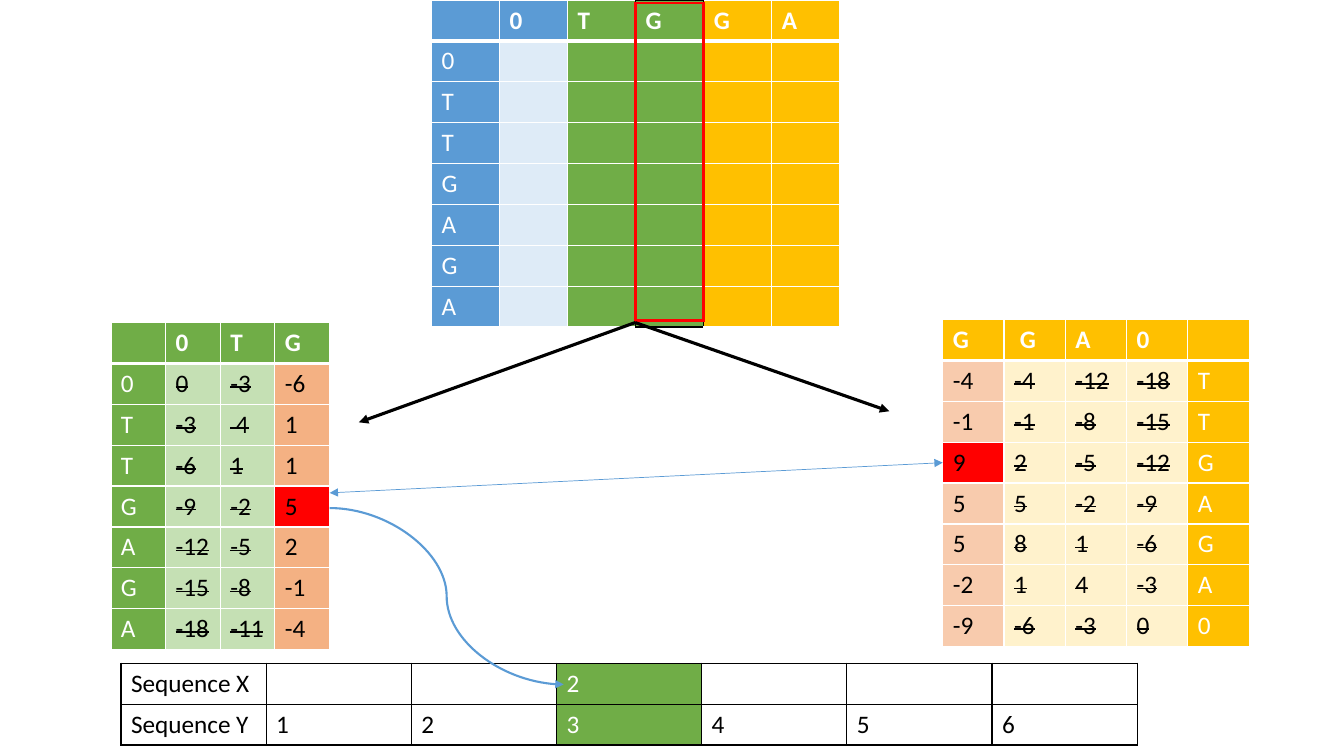
from lxml.etree import SubElement
from pptx import Presentation
from pptx.dml.color import RGBColor
from pptx.enum.shapes import MSO_CONNECTOR
from pptx.oxml import parse_xml
from pptx.oxml.ns import nsdecls, qn
from pptx.util import Inches, Pt

WHITE = RGBColor(0xFF, 0xFF, 0xFF)
BLACK = RGBColor(0x00, 0x00, 0x00)
RED = RGBColor(0xFF, 0x00, 0x00)
BLUE = RGBColor(0x5B, 0x9B, 0xD5)
PALE_BLUE = RGBColor(0xDE, 0xEB, 0xF7)
GREEN = RGBColor(0x70, 0xAD, 0x47)
PALE_GREEN = RGBColor(0xC5, 0xE0, 0xB4)
GOLD = RGBColor(0xFF, 0xC0, 0x00)
PALE_GOLD = RGBColor(0xFF, 0xF2, 0xCC)
ORANGE = RGBColor(0xF4, 0xB1, 0x83)
PALE_ORANGE = RGBColor(0xF8, 0xCB, 0xAD)

presentation = Presentation()
presentation.slide_width, presentation.slide_height = Inches(13.33), Inches(7.5)
slide = presentation.slides.add_slide(presentation.slide_layouts[6])


def add_grid(left, top, column_width, row_height, rows, style, border):
    """style(row, column) gives fill, text colour, bold, strike;
    border(row, column, side) gives line colour and points."""
    column_count = len(rows[0])
    table = slide.shapes.add_table(
        len(rows), column_count, Inches(left), Inches(top),
        Inches(column_width * column_count), Inches(row_height * len(rows))).table
    table.first_row = table.horz_banding = False
    for column in table.columns:
        column.width = Inches(column_width)
    for r, texts in enumerate(rows):
        table.rows[r].height = Inches(row_height)
        for c, text in enumerate(texts):
            cell = table.cell(r, c)
            fill, colour, bold, strike = style(r, c)
            properties = cell._tc.get_or_add_tcPr()
            for side in "LRTB":
                line_colour, points = border(r, c, side)
                properties.append(parse_xml(
                    f'<a:ln{side} {nsdecls("a")} w="{Pt(points)}"><a:solidFill>'
                    f'<a:srgbClr val="{line_colour}"/></a:solidFill></a:ln{side}>'))
            if fill is None:
                cell.fill.background()
            else:
                cell.fill.solid()
                cell.fill.fore_color.rgb = fill
            if text:
                run = cell.text_frame.paragraphs[0].add_run()
                run.text = text
                run.font.name, run.font.size = "Calibri", Pt(18)
                run.font.bold, run.font.color.rgb = bold, colour
                if strike:
                    run._r.get_or_add_rPr().set("strike", "sngStrike")


def add_line(kind, start, end, colour, points, ends=("tailEnd",)):
    connector = slide.shapes.add_connector(
        kind, *[Inches(value) for value in start + end])
    connector.line.color.rgb = colour
    connector.line.width = Pt(points)
    outline = connector.line._get_or_add_ln()
    for end_name in ends:
        SubElement(outline, qn(f"a:{end_name}"), type="triangle")
    SubElement(connector._element.spPr, qn("a:effectLst"))


def header_border(row, column, side):
    under_header = (row, side) in ((0, "B"), (1, "T"))
    return WHITE, 3 if under_header else 1


# Full alignment matrix, with the middle column outlined
def matrix_style(row, column):
    if column == 0 or (row == 0 and column == 1):
        fill = BLUE
    else:
        fill = (PALE_BLUE, GREEN, GREEN, GOLD, GOLD)[column - 1]
    return fill, WHITE, row == 0, False


def matrix_border(row, column, side):
    if ((column, side) in ((2, "R"), (3, "L"), (3, "R"), (4, "L"))
            or (row, column, side) in ((0, 3, "T"), (7, 3, "B"))):
        return BLACK, 1
    return header_border(row, column, side)


matrix_rows = [["", *"0TGGA"]] + [[letter] + [""] * 5 for letter in "0TTGAGA"]
add_grid(4.28, 0, 0.675, 0.4, matrix_rows, matrix_style, matrix_border)


# Left half: forward scores
def forward_style(row, column):
    if row == 0 or column == 0:
        return GREEN, WHITE, row == 0, False
    if column == 3:
        return RED if row == 4 else ORANGE, BLACK, False, False
    return PALE_GREEN, BLACK, False, True


forward_rows = [
    ["", "0", "T", "G"],
    ["0", "0", "-3", "-6"],
    ["T", "-3", " 4", "1"],
    ["T", "-6", "1", "1"],
    ["G", "-9", "-2", "5"],
    ["A", "-12", "-5", "2"],
    ["G", "-15", "-8", "-1"],
    ["A", "-18", "-11", "-4"],
]
add_grid(1.1, 3.2, 0.5425, 0.4, forward_rows, forward_style, header_border)

# Sequence positions, with the matched pair in green
add_grid(
    1.2, 6.58, 1.44, 0.405,
    [["Sequence X", "", "", "2", "", "", ""], ["Sequence Y", *"123456"]],
    lambda row, column: (GREEN if column == 3 else WHITE,
                         WHITE if column == 3 else BLACK, False, False),
    lambda row, column, side: (BLACK, 1))

# Red frame around the middle column
add_grid(6.3, 0.03, 0.68, 3.15, [[""]],
         lambda row, column: (None, BLACK, False, False),
         lambda row, column, side: (RED, 2.25))

# Curve from the best forward score to the sequence position
add_line(MSO_CONNECTOR.CURVE, (3.27, 5.04), (5.59, 6.79), BLUE, 1.5)


# Right half: backward scores
def backward_style(row, column):
    if row == 0 or column == 4:
        return GOLD, WHITE, row == 0, False
    if column == 0:
        return RED if row == 3 else PALE_ORANGE, BLACK, False, False
    return PALE_GOLD, BLACK, False, True


backward_rows = [
    ["G", " G", "A", "0", ""],
    ["-4", "-4", "-12", "-18", "T"],
    ["-1", "-1", "-8", "-15", "T"],
    ["9", "2", "-5", "-12", "G"],
    ["5", "5", "-2", "-9", "A"],
    ["5", "8", "1", "-6", "G"],
    ["-2", "1", "4", "-3", "A"],
    ["-9", "-6", "-3", "0", "0"],
]
add_grid(9.35, 3.17, 0.608, 0.4, backward_rows, backward_style, header_border)

# Link between the best scores, and the split into two halves
add_line(MSO_CONNECTOR.STRAIGHT, (3.27, 4.89), (9.35, 4.59), BLUE, 0.5,
         ("headEnd", "tailEnd"))
for target in ((3.56, 4.19), (8.82, 4.08)):
    add_line(MSO_CONNECTOR.STRAIGHT, (6.3, 3.2), target, BLACK, 2.25)

presentation.save("out.pptx")
